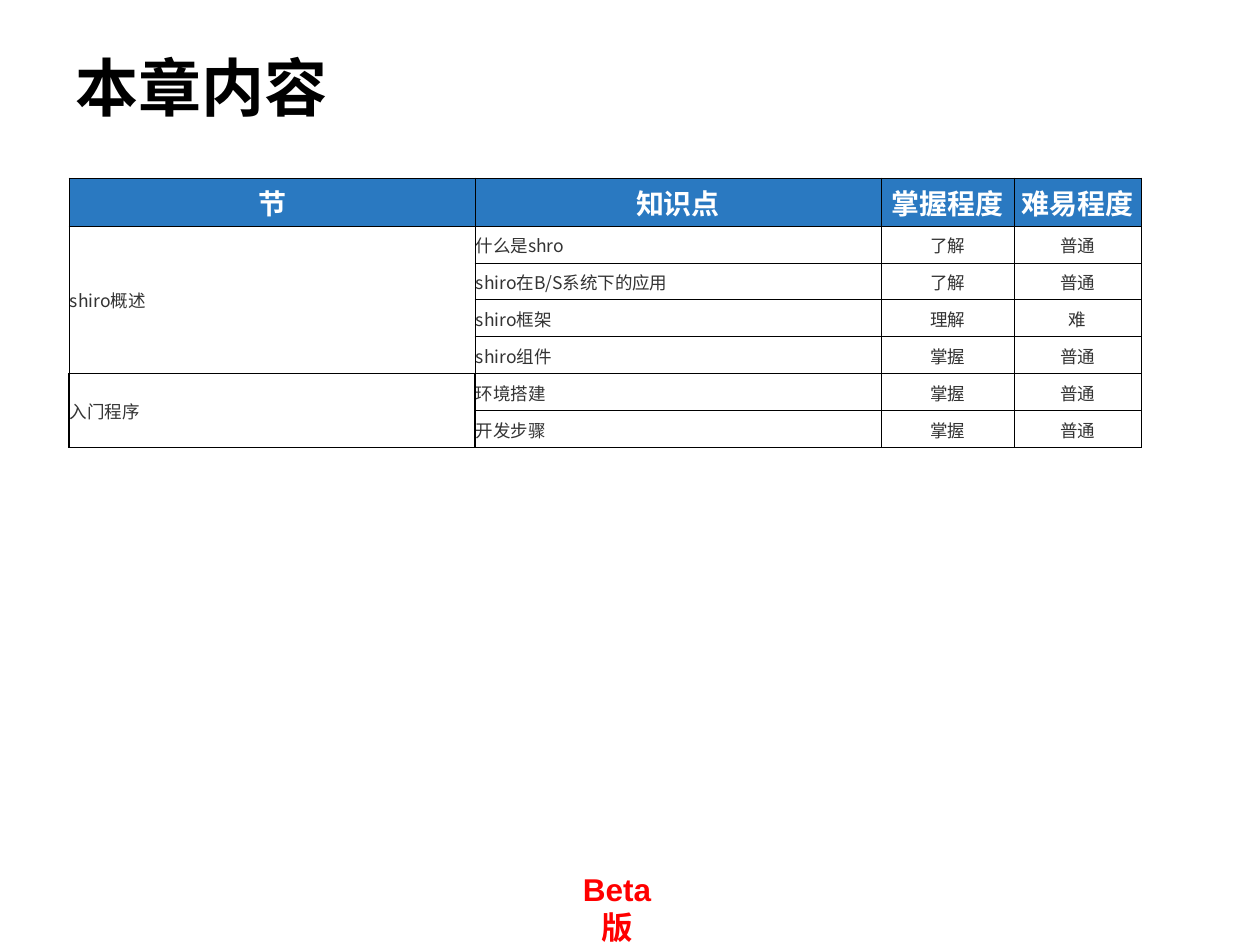
from lxml import etree
from pptx import Presentation
from pptx import util as u
from pptx.dml.color import RGBColor
from pptx.enum import text
from pptx.oxml.ns import qn

PX = 914400 / 126
COLORS = {"black": "000000", "white": "FFFFFF", "header": "2A79C1",
          "body": "333333", "red": "FF0000"}
CJK = "Noto Sans CJK SC"
TIMES = "Times New Roman"
HEADERS = ["节", "知识点", "掌握程度", "难易程度"]
SECTIONS = [
    ("shiro概述", [("什么是shro", "了解", "普通"),
                 ("shiro在B/S系统下的应用", "了解", "普通"),
                 ("shiro框架", "理解", "难"),
                 ("shiro组件", "掌握", "普通")]),
    ("入门程序", [("环境搭建", "掌握", "普通"),
              ("开发步骤", "掌握", "普通")]),
]


def px(n):
    """Turn pixels into EMU."""
    return u.Emu(round(n * PX))


def rgb(name):
    """Look up a palette colour."""
    return RGBColor.from_string(COLORS[name])


def write(tf, words, size, color, font=CJK, bold=False, align="LEFT"):
    """Write one formatted paragraph into a text frame."""
    p = tf.paragraphs[0]
    p.alignment = getattr(text.PP_ALIGN, align)
    r = p.add_run()
    r.text = words
    r.font.size, r.font.bold, r.font.name = u.Pt(size), bold, font
    r.font.color.rgb = rgb(color)
    etree.SubElement(r.font._element, qn("a:ea")).set("typeface", CJK)


def set_borders(cell, **widths):
    """Draw solid black cell borders, 0.5 pt unless a side is given."""
    tcPr = cell._tc.get_or_add_tcPr()
    for i, side in enumerate("LRTB"):
        ln = etree.Element(qn(f"a:ln{side}"), w=str(u.Pt(widths.get(side, 0.5))))
        fill = etree.SubElement(ln, qn("a:solidFill"))
        etree.SubElement(fill, qn("a:srgbClr"), val=COLORS["black"])
        tcPr.insert(i, ln)


def format_cell(cell, fill, **borders):
    """Set the fill, margins, anchor and borders of a cell."""
    cell.fill.solid()
    cell.fill.fore_color.rgb = rgb(fill)
    cell.margin_left = cell.margin_right = cell.margin_top = px(1)
    cell.margin_bottom = 0
    cell.vertical_anchor = text.MSO_ANCHOR.MIDDLE
    set_borders(cell, **borders)


def add_title(s, x, y, w, h):
    """Place the slide title."""
    sp = s.shapes.title
    sp.left, sp.top, sp.width, sp.height = map(px, (x, y, w, h))
    tf = sp.text_frame
    tf.vertical_anchor = text.MSO_ANCHOR.MIDDLE
    write(tf, "本章内容", 36, "black", bold=True)


def add_outline(s, x, y, col_widths, head_h, row_h):
    """Place the table of sections, topics, mastery and difficulty."""
    count = sum(len(topics) for _, topics in SECTIONS)
    table = s.shapes.add_table(count + 1, len(HEADERS), px(x), px(y),
                               px(sum(col_widths)), px(head_h + count * row_h)).table
    table.first_row = table.horz_banding = False
    for col, w in zip(table.columns, col_widths):
        col.width = px(w)
    for i, row in enumerate(table.rows):
        row.height = px(row_h if i else head_h)
    for c, words in enumerate(HEADERS):
        format_cell(table.cell(0, c), "header")
        write(table.cell(0, c).text_frame, words, 16, "white", bold=True, align="CENTER")
    top = 1
    for n, (section, topics) in enumerate(SECTIONS):
        side = 1 if n else 0.5
        for r, (topic, *levels) in enumerate(topics, top):
            format_cell(table.cell(r, 0), "white", L=side, R=side)
            format_cell(table.cell(r, 1), "white", L=side)
            write(table.cell(r, 1).text_frame, topic, 10, "body")
            for c, level in enumerate(levels, 2):
                format_cell(table.cell(r, c), "white")
                write(table.cell(r, c).text_frame, level, 10, "body", font=TIMES, align="CENTER")
        first = table.cell(top, 0)
        write(first.text_frame, section, 10, "body")
        first.merge(table.cell(top + len(topics) - 1, 0))
        top += len(topics)


def add_version(s, x, y, w, h):
    """Place the version mark at the foot of the slide."""
    tf = s.shapes.add_textbox(px(x), px(y), px(w), px(h)).text_frame
    tf.word_wrap = True
    tf.margin_left, tf.margin_right = px(8), px(42)
    write(tf, "Beta版", 18, "red", font="Arial", bold=True, align="CENTER")


def main():
    """Build and save the slide."""
    prs = Presentation()
    prs.slide_width, prs.slide_height = px(1260), px(945)
    s = prs.slides.add_slide(prs.slide_layouts[5])
    add_version(s, 571, 864, 126, 50)
    add_title(s, 63, 38, 1004, 97)
    add_outline(s, 69, 178, [406, 406, 133, 127], 48, 37)
    prs.save("out.pptx")


if __name__ == "__main__":
    main()
